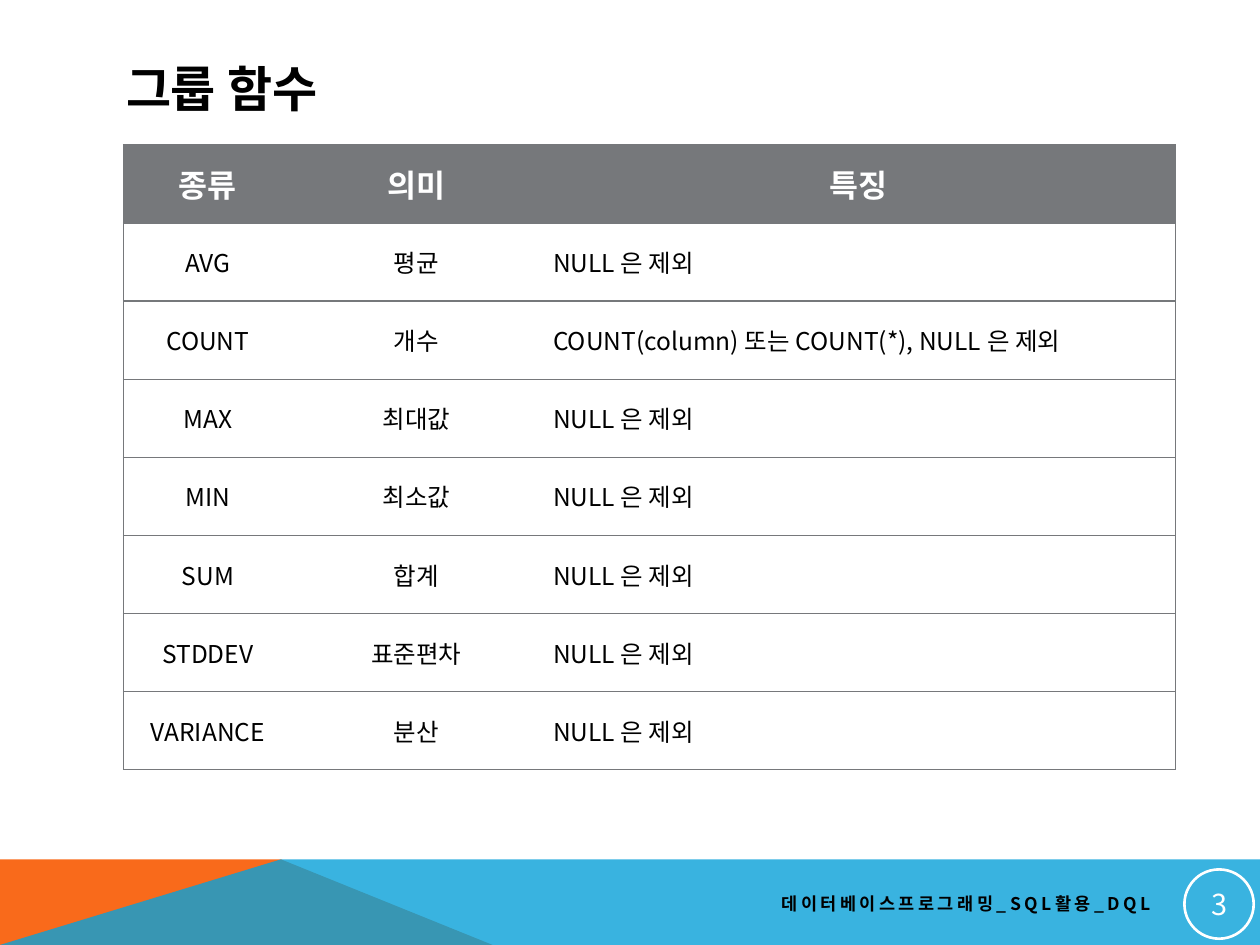
from lxml import etree
from pptx import Presentation, util as u
from pptx.dml import color
from pptx.enum import shapes, text
from pptx.oxml import ns

COLORS = {"ink": "000000", "white": "FFFFFF", "grey": "76787B",
          "orange": "F96A1B", "blue": "08A1D9"}
FONT = "Noto Sans CJK KR"
CENTER, RIGHT, LEFT = text.PP_ALIGN.CENTER, text.PP_ALIGN.RIGHT, text.PP_ALIGN.LEFT
MIDDLE = text.MSO_ANCHOR.MIDDLE

HEADINGS = ["종류", "의미", "특징"]
NULL_NOTE = "NULL 은 제외"
MEANINGS = {"AVG": "평균", "COUNT": "개수", "MAX": "최대값", "MIN": "최소값",
            "SUM": "합계", "STDDEV": "표준편차", "VARIANCE": "분산"}
NOTES = {"COUNT": "COUNT(column) 또는 COUNT(*), NULL 은 제외"}


def rgb(name):
    """Return the named palette colour."""
    return color.RGBColor.from_string(COLORS[name])


def add_xml(parent, tag, **attributes):
    """Append a drawing element to parent and return it."""
    return etree.SubElement(parent, ns.qn(tag), **attributes)


def write(frame, words, size=14, ink="ink", bold=False, align=LEFT, spacing=0):
    """Fill a text frame with one formatted paragraph."""
    para = frame.paragraphs[0]
    para.alignment = align
    span = para.add_run()
    span.text = words
    span.font.size, span.font.bold, span.font.name = u.Pt(size), bold, FONT
    span.font.color.rgb = rgb(ink)
    properties = span.font._element
    add_xml(properties, "a:ea", typeface=FONT)
    if spacing:
        properties.set("spc", str(spacing * 100))


def set_borders(cell, sides):
    """Draw thin grey borders on the given sides and clear the others."""
    properties = cell._tc.get_or_add_tcPr()
    for side in "LRTB":
        line = add_xml(properties, f"a:ln{side}", w=str(u.Pt(0.75)))
        if side in sides:
            fill = add_xml(line, "a:solidFill")
            add_xml(fill, "a:srgbClr", val=COLORS["grey"])
        else:
            add_xml(line, "a:noFill")


class SlideBuilder:
    """Holds the current page and adds its elements."""

    def __init__(self, deck):
        """Start a title-only page."""
        self.page = deck.slides.add_slide(deck.slide_layouts[5])

    def title(self, words, left, top, width, height):
        """Place and format the title placeholder."""
        box = self.page.shapes.title
        box.left, box.top = u.Inches(left), u.Inches(top)
        box.width, box.height = u.Inches(width), u.Inches(height)
        frame = box.text_frame
        frame.auto_size = text.MSO_AUTO_SIZE.NONE
        frame.vertical_anchor = MIDDLE
        write(frame, words, size=28, bold=True)

    def polygon(self, points, fill, opacity=100):
        """Add a closed filled outline."""
        corners = [(u.Inches(x), u.Inches(y)) for x, y in points]
        builder = self.page.shapes.build_freeform(*corners[0])
        builder.add_line_segments(corners[1:], close=True)
        shape = builder.convert_to_shape()
        shape.shadow.inherit = False
        shape.fill.solid()
        shape.fill.fore_color.rgb = rgb(fill)
        shape.line.fill.background()
        if opacity < 100:
            tint = shape._element.spPr.find(".//" + ns.qn("a:srgbClr"))
            add_xml(tint, "a:alpha", val=str(opacity * 1000))

    def label(self, words, left, top, width, height, **style):
        """Add a wrapped text box."""
        box = self.page.shapes.add_textbox(*map(u.Inches, (left, top, width, height)))
        box.text_frame.word_wrap = True
        box.text_frame.vertical_anchor = MIDDLE
        write(box.text_frame, words, **style)

    def badge(self, words, left, top, size):
        """Add a white ring around a page number."""
        ring = self.page.shapes.add_shape(
            shapes.MSO_SHAPE.OVAL, *map(u.Inches, (left, top, size, size)))
        ring.shadow.inherit = False
        ring.fill.background()
        ring.line.color.rgb = rgb("white")
        ring.line.width = u.Pt(1.5)
        frame = ring.text_frame
        frame.margin_left = frame.margin_right = u.Inches(0.01)
        frame.margin_top = frame.margin_bottom = u.Inches(0.01)
        frame.vertical_anchor = MIDDLE
        write(frame, words, size=16.5, ink="white", align=CENTER)

    def table(self, rows, left, top, widths, row_height):
        """Add a ruled table with a grey heading row."""
        table = self.page.shapes.add_table(
            len(rows), len(widths), u.Inches(left), u.Inches(top),
            u.Inches(sum(widths)), u.Inches(row_height * len(rows))).table
        table.horz_banding = False
        for column, width in zip(table.columns, widths):
            column.width = u.Inches(width)
        last = len(widths) - 1
        for i, row in enumerate(rows):
            table.rows[i].height = u.Inches(row_height)
            for j, words in enumerate(row):
                cell = table.cell(i, j)
                cell.vertical_anchor = MIDDLE
                set_borders(cell, "TB" + "L" * (j == 0) + "R" * (j == last))
                if i == 0:
                    cell.fill.solid()
                    cell.fill.fore_color.rgb = rgb("grey")
                    style = dict(size=18, ink="white", bold=True, align=CENTER)
                else:
                    cell.fill.background()
                    style = dict(align=LEFT if j == last else CENTER)
                write(cell.text_frame, words, **style)


def main():
    """Build and save the deck."""
    deck = Presentation()
    deck.slide_width, deck.slide_height = u.Inches(10), u.Inches(7.5)
    slide = SlideBuilder(deck)
    top, bottom, peak = 6.82, 7.5, 2.23
    slide.polygon([(0, bottom), (0, top), (peak, top), (3.91, bottom)], "orange")
    slide.polygon([(0, bottom), (peak, top), (10, top), (10, bottom)], "blue", opacity=80)
    slide.title("그룹 함수", 0.9, 0.4, 8.22, 0.6)
    slide.label("데이터베이스프로그래밍_SQL활용_DQL", 4.06, 7.02, 5.17, 0.3,
                size=10, bold=True, align=RIGHT, spacing=2)
    slide.badge("3", 9.4, 6.9, 0.55)
    rows = [[name, meaning, NOTES.get(name, NULL_NOTE)]
            for name, meaning in MEANINGS.items()]
    slide.table([HEADINGS] + rows, 0.98, 1.15, [1.34, 1.97, 5.04], 0.62)
    deck.save("out.pptx")


main()
